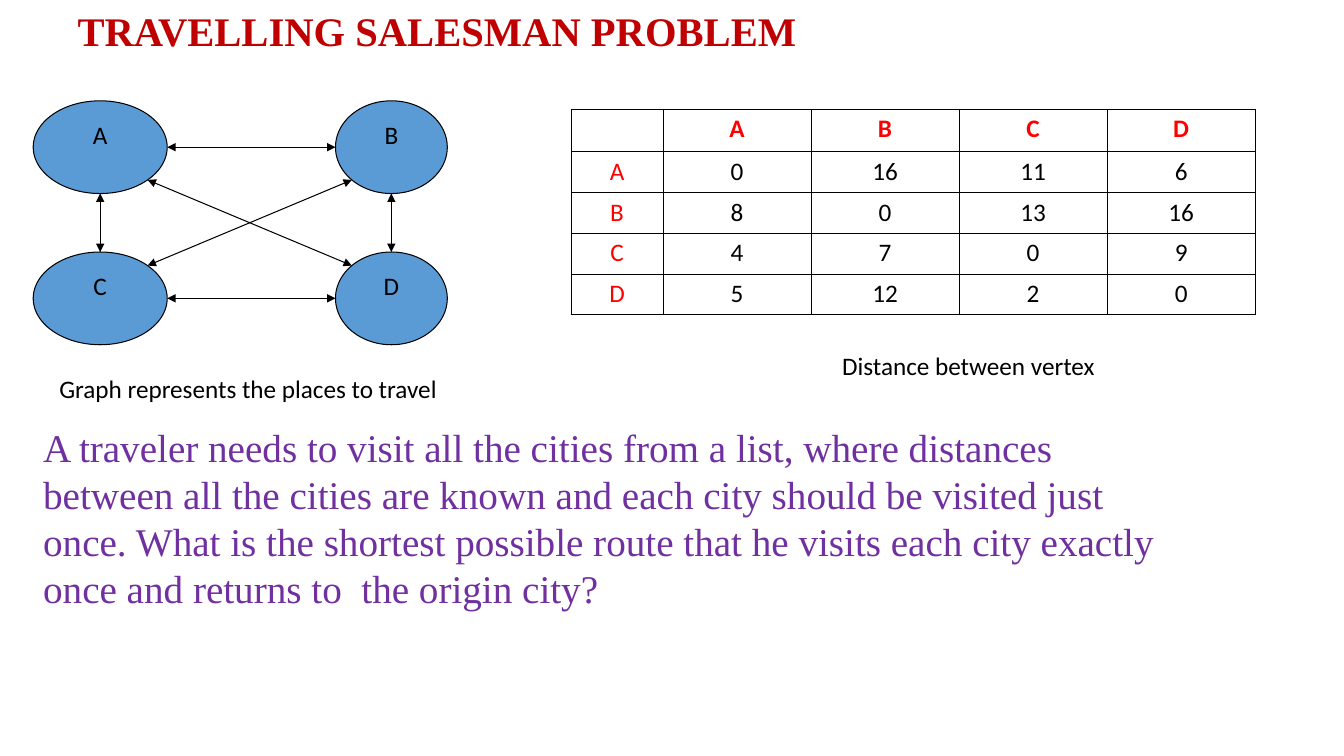
from dataclasses import dataclass
from math import hypot

from lxml.etree import SubElement
from pptx import Presentation
from pptx.dml.color import RGBColor
from pptx.enum.shapes import MSO_CONNECTOR, MSO_SHAPE
from pptx.enum.text import MSO_ANCHOR, MSO_AUTO_SIZE, PP_ALIGN
from pptx.oxml import parse_xml
from pptx.oxml.ns import nsdecls, qn
from pptx.slide import Slide
from pptx.text.text import TextFrame
from pptx.util import Inches, Pt

BLACK, RED, WHITE = "000000", "FF0000", "FFFFFF"
CITY_BLUE, TITLE_RED, PURPLE = "5B9BD5", "C00000", "7030A0"
CITY_HEIGHT = 0.92


@dataclass(frozen=True)
class City:
    """A vertex of the travel graph, in inches."""
    name: str
    left: float
    top: float
    width: float

    def edge_point(self, across: int, down: int) -> tuple[float, float]:
        """Return the point on the ellipse in the given direction."""
        reach = hypot(across, down)
        return (self.left + self.width / 2 * (1 + across / reach),
                self.top + CITY_HEIGHT / 2 * (1 + down / reach))


@dataclass(frozen=True)
class Route:
    """A two-way road and its direction from start to end."""
    start: str
    end: str
    across: int
    down: int


@dataclass(frozen=True)
class Passage:
    """A block of running text, in inches and points."""
    text: str
    left: float
    top: float
    width: float
    height: float
    size: int = 18
    font: str = "Calibri"
    color: str = BLACK
    wrap: bool = True


CITIES = {city.name: city for city in (
    City("A", 0.33, 1, 1.33),
    City("B", 3.33, 1, 1.11),
    City("C", 0.33, 2.5, 1.33),
    City("D", 3.33, 2.5, 1.11),
)}
ROUTES = (
    Route("A", "B", 1, 0),
    Route("B", "D", 0, 1),
    Route("C", "D", 1, 0),
    Route("A", "C", 0, 1),
    Route("A", "D", 1, 1),
    Route("B", "C", -1, 1),
)
DISTANCES = ((0, 16, 11, 6), (8, 0, 13, 16), (4, 7, 0, 9), (5, 12, 2, 0))
PASSAGES = (
    Passage("Graph represents the places to travel", 0.49, 3.65, 4.48, 0.4),
    Passage("Distance between vertex", 8.26, 3.43, 2.72, 0.4, wrap=False),
    Passage("A traveler needs to visit all the cities from a list, where distances "
            "between all the cities are known and each city should be visited just once. "
            "What is the shortest possible route that he visits each city exactly once "
            "and returns to  the origin city?",
            0.33, 4.15, 11.59, 1.97, 28, "Times New Roman", PURPLE),
)


def rgb(value: str) -> RGBColor:
    """Turn a hex string into a colour."""
    return RGBColor.from_string(value)


def write(frame: TextFrame, text: str, size: int, color: str, font: str = "Calibri",
          bold: bool = False, align: PP_ALIGN = PP_ALIGN.LEFT) -> None:
    """Fill a text frame with one formatted paragraph."""
    frame.text = text
    paragraph = frame.paragraphs[0]
    paragraph.alignment = align
    for run in paragraph.runs:
        run.font.name, run.font.size, run.font.bold = font, Pt(size), bold
        run.font.color.rgb = rgb(color)


def add_title(slide: Slide) -> None:
    """Place and format the title."""
    title = slide.shapes.title
    title.left, title.top, title.width, title.height = map(Inches, (0.67, 0.17, 12, 0.33))
    frame = title.text_frame
    write(frame, "TRAVELLING SALESMAN PROBLEM", 29, TITLE_RED, "Times New Roman", True)
    frame.auto_size = MSO_AUTO_SIZE.NONE
    frame.vertical_anchor = MSO_ANCHOR.MIDDLE
    frame.paragraphs[0].line_spacing = 0.9


def add_city(slide: Slide, city: City) -> None:
    """Draw a city as a labelled ellipse."""
    ellipse = slide.shapes.add_shape(MSO_SHAPE.OVAL, Inches(city.left), Inches(city.top),
                                     Inches(city.width), Inches(CITY_HEIGHT))
    ellipse.shadow.inherit = False
    ellipse.fill.solid()
    ellipse.fill.fore_color.rgb = rgb(CITY_BLUE)
    ellipse.line.color.rgb = rgb(BLACK)
    ellipse.line.width = Pt(0.75)
    ellipse.text_frame.vertical_anchor = MSO_ANCHOR.TOP
    write(ellipse.text_frame, city.name, 18, BLACK, align=PP_ALIGN.CENTER)


def add_route(slide: Slide, route: Route) -> None:
    """Draw a double-headed arrow between two cities."""
    start = CITIES[route.start].edge_point(route.across, route.down)
    end = CITIES[route.end].edge_point(-route.across, -route.down)
    road = slide.shapes.add_connector(MSO_CONNECTOR.STRAIGHT, *map(Inches, start + end))
    road.line.color.rgb = rgb(BLACK)
    road.line.width = Pt(0.75)
    outline = road.line._get_or_add_ln()
    for tip in ("a:headEnd", "a:tailEnd"):
        SubElement(outline, qn(tip), type="triangle")
    SubElement(road._element.spPr, qn("a:effectLst"))


def add_distance_table(slide: Slide) -> None:
    """Draw the matrix of distances between cities."""
    names = tuple(CITIES)
    rows = [("", *names)] + [(name, *line) for name, line in zip(names, DISTANCES)]
    table = slide.shapes.add_table(len(rows), len(rows[0]), Inches(5.67), Inches(1.08),
                                   Inches(6.78), Inches(2.04)).table
    table.first_row = table.horz_banding = False
    for index, column in enumerate(table.columns):
        column.width = Inches(1.47 if index else 0.91)
    for index, row in enumerate(table.rows):
        row.height = Inches(0.405 if index else 0.42)
    for r, values in enumerate(rows):
        for c, value in enumerate(values):
            cell = table.cell(r, c)
            cell.margin_left = cell.margin_right = Inches(0.13)
            cell.fill.solid()
            cell.fill.fore_color.rgb = rgb(WHITE)
            write(cell.text_frame, str(value), 18, BLACK if r and c else RED,
                  bold=r == 0, align=PP_ALIGN.CENTER)
            for place, side in enumerate(("lnL", "lnR", "lnT", "lnB")):
                cell._tc.get_or_add_tcPr().insert(place, parse_xml(
                    f'<a:{side} {nsdecls("a")} w="{Pt(0.45)}"><a:solidFill>'
                    f'<a:srgbClr val="{BLACK}"/></a:solidFill></a:{side}>'))


def add_passage(slide: Slide, passage: Passage) -> None:
    """Add a caption or the problem statement."""
    frame = slide.shapes.add_textbox(Inches(passage.left), Inches(passage.top),
                                     Inches(passage.width), Inches(passage.height)).text_frame
    frame.word_wrap = passage.wrap
    frame.auto_size = MSO_AUTO_SIZE.SHAPE_TO_FIT_TEXT
    write(frame, passage.text, passage.size, passage.color, passage.font)


def main() -> None:
    """Build and save the slide."""
    deck = Presentation()
    deck.slide_width, deck.slide_height = Inches(13.34), Inches(7.5)
    slide = deck.slides.add_slide(deck.slide_layouts[5])
    add_title(slide)
    for city in CITIES.values():
        add_city(slide, city)
    for route in ROUTES:
        add_route(slide, route)
    add_distance_table(slide)
    for passage in PASSAGES:
        add_passage(slide, passage)
    deck.save("out.pptx")


if __name__ == "__main__":
    main()
